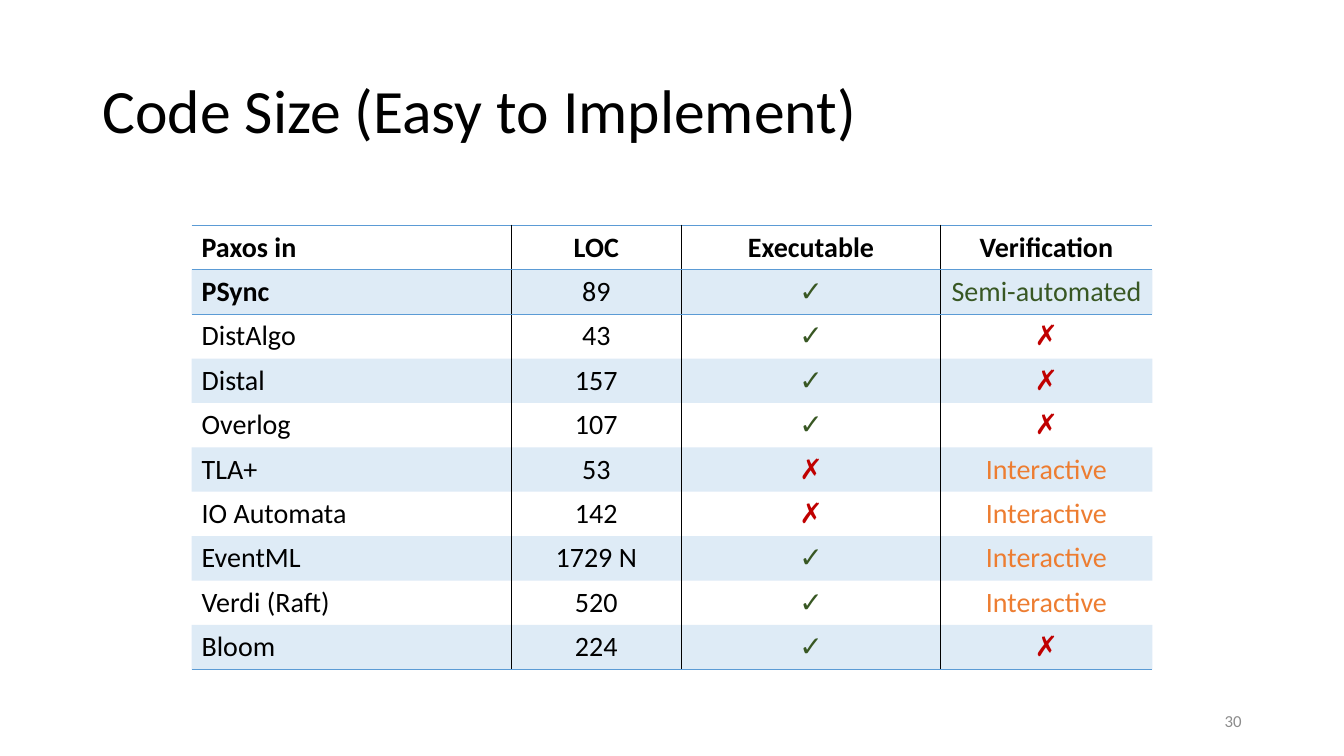
from dataclasses import dataclass

from lxml.etree import SubElement
from pptx import Presentation
from pptx.dml.color import RGBColor as Rgb
from pptx.enum.text import MSO_ANCHOR as Anchor, PP_ALIGN as Align
from pptx.oxml import parse_xml
from pptx.oxml.ns import nsdecls, qn
from pptx.util import Inches, Pt


@dataclass(frozen=True)
class Theme:
    font: str = "Calibri"
    title_size: int = 44
    table_size: int = 20
    number_size: int = 12
    ink: str = "000000"
    accent: str = "5B9BD5"
    good: str = "385723"
    middling: str = "ED7D31"
    bad: str = "C00000"
    muted: str = "8C8C8C"
    band_alpha: int = 20
    rule_width: int = 1


THEME = Theme()
PLAIN_STYLE = "{2D5ABB26-0587-4C30-8999-92F81FD0307C}"
YES, NO = "✓", "✗"
VERDICT_COLORS = {YES: THEME.good, NO: THEME.bad,
                  "Semi-automated": THEME.good, "Interactive": THEME.middling}
COLUMN_WIDTHS = (3.17, 1.69, 2.57, 2.1)
HEADER = ("Paxos in", "LOC", "Executable", "Verification")
SYSTEMS = (
    ("PSync", "89", YES, "Semi-automated"),
    ("DistAlgo", "43", YES, NO),
    ("Distal", "157", YES, NO),
    ("Overlog", "107", YES, NO),
    ("TLA+", "53", NO, "Interactive"),
    ("IO Automata", "142", NO, "Interactive"),
    ("EventML", "1729 N", YES, "Interactive"),
    ("Verdi (Raft)", "520", YES, "Interactive"),
    ("Bloom", "224", YES, NO),
)


def style_text(para, size, color, align, bold=False):
    para.alignment = align
    para.font.name = THEME.font
    para.font.size = Pt(size)
    para.font.bold = bold
    para.font.color.rgb = Rgb.from_string(color)


def fill_band(cell):
    cell.fill.solid()
    cell.fill.fore_color.rgb = Rgb.from_string(THEME.accent)
    color = cell.fill._xPr.find(qn("a:solidFill"))[0]
    SubElement(color, qn("a:alpha")).set("val", str(THEME.band_alpha * 1000))


def draw_borders(cell, borders):
    """Add borders, given as side and colour in the order L, R, T, B."""
    properties = cell._tc.get_or_add_tcPr()
    for index, (side, color) in enumerate(borders):
        properties.insert(index, parse_xml(
            f'<a:ln{side} {nsdecls("a")} w="{Pt(THEME.rule_width)}"><a:solidFill>'
            f'<a:srgbClr val="{color}"/></a:solidFill></a:ln{side}>'))


def add_title(page, box, text):
    title = page.shapes.title
    title.left, title.top, title.width, title.height = box
    frame = title.text_frame
    frame.text = text
    frame.vertical_anchor = Anchor.MIDDLE
    para = frame.paragraphs[0]
    style_text(para, THEME.title_size, THEME.ink, Align.LEFT)
    para.line_spacing = 0.9


def add_comparison(page, box, header, systems):
    rows = (header, *systems)
    width = box[2]
    table = page.shapes.add_table(len(rows), len(header), *box).table
    table._tbl.tblPr.find(qn("a:tableStyleId")).text = PLAIN_STYLE
    for column, share in zip(table.columns, COLUMN_WIDTHS):
        column.width = int(width * share / sum(COLUMN_WIDTHS))

    for r, values in enumerate(rows):
        for c, value in enumerate(values):
            cell = table.cell(r, c)
            cell.text = value
            bold = r == 0 or value in (YES, NO, systems[0][0])
            style_text(cell.text_frame.paragraphs[0], THEME.table_size,
                       VERDICT_COLORS.get(value, THEME.ink),
                       Align.LEFT if c == 0 else Align.CENTER, bold)
            # Bands on odd rows
            if r % 2:
                fill_band(cell)
            else:
                cell.fill.background()
            # Upright rules around LOC, level rules around header and table
            sides = {"L": c in (1, 2), "R": c in (0, 1),
                     "T": r in (0, 1), "B": r in (0, len(rows) - 1)}
            draw_borders(cell, [
                (side, THEME.ink if side in "LR" else THEME.accent)
                for side, shown in sides.items() if shown])


def add_page_number(page, box, text):
    frame = page.shapes.add_textbox(*box).text_frame
    frame.word_wrap = True
    frame.vertical_anchor = Anchor.MIDDLE
    frame.text = text
    style_text(frame.paragraphs[0], THEME.number_size, THEME.muted, Align.RIGHT)


def build_deck():
    deck = Presentation()
    deck.slide_width, deck.slide_height = Inches(13.33), Inches(7.5)
    page = deck.slides.add_slide(deck.slide_layouts[5])

    def area(left, top, width, height):
        """Turn percentages of the slide into a box."""
        return [int(share * side / 100) for share, side in zip(
            (left, top, width, height), (deck.slide_width, deck.slide_height) * 2)]

    add_title(page, area(6.88, 5.33, 86.25, 19.33), "Code Size (Easy to Implement)")
    add_comparison(page, area(14.25, 29.8, 71.49, 57.73), HEADER, SYSTEMS)
    add_page_number(page, area(70.63, 92.67, 22.5, 5.33), "30")
    deck.save("out.pptx")


build_deck()
